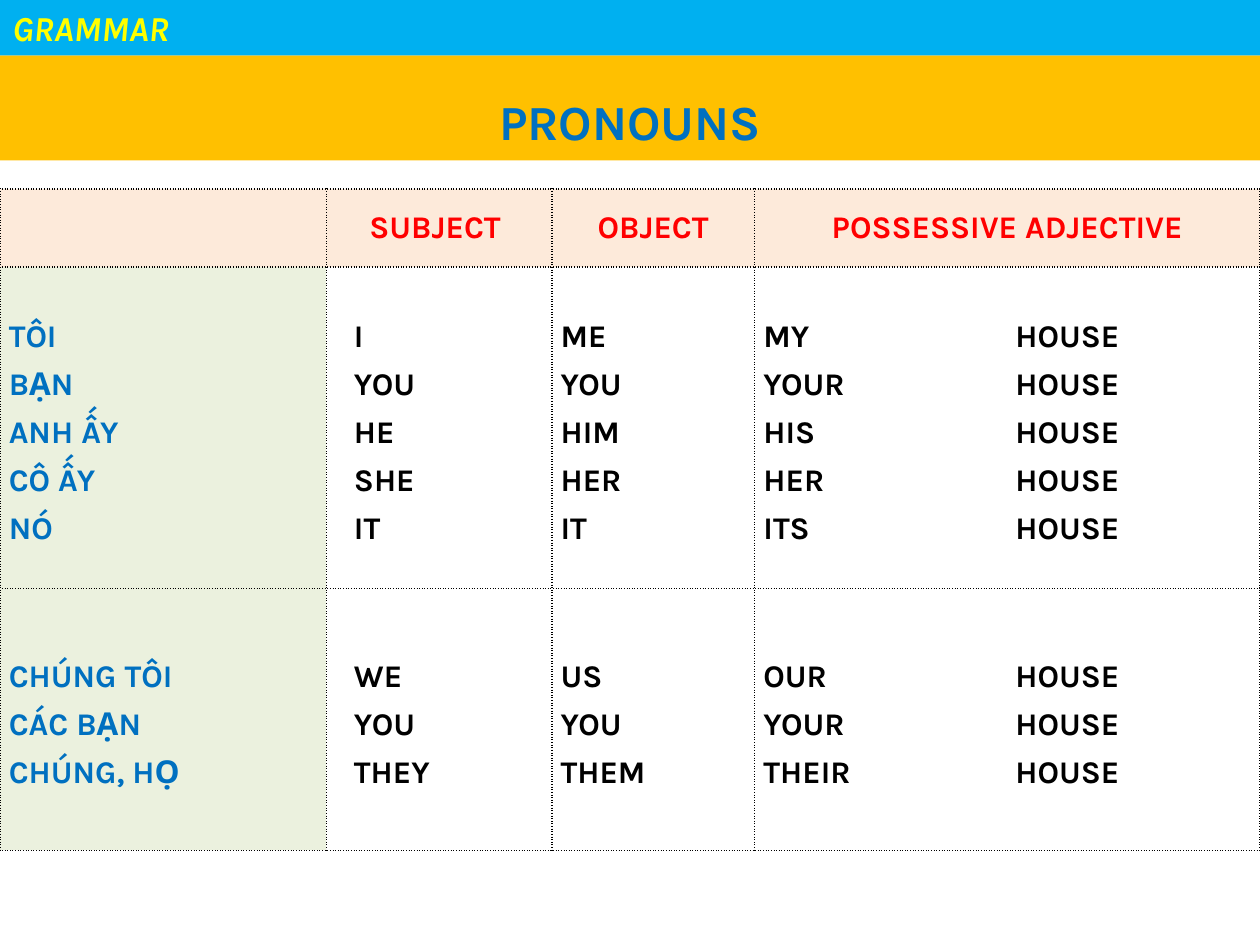
from lxml import etree
from pptx import Presentation
from pptx.dml.color import RGBColor
from pptx.enum.shapes import MSO_SHAPE
from pptx.enum.text import MSO_ANCHOR, MSO_AUTO_SIZE, PP_ALIGN
from pptx.oxml.ns import qn
from pptx.util import Inches, Pt

RECT = MSO_SHAPE.RECTANGLE
TOP, MIDDLE = MSO_ANCHOR.TOP, MSO_ANCHOR.MIDDLE
LEFT, CENTER = PP_ALIGN.LEFT, PP_ALIGN.CENTER

FONT = "Karla"
SKY = RGBColor(0x00, 0xB0, 0xF0)
AMBER = RGBColor(0xFF, 0xC0, 0x00)
YELLOW = RGBColor(0xFF, 0xFF, 0x00)
BLUE = RGBColor(0x00, 0x70, 0xC0)
RED = RGBColor(0xFF, 0x00, 0x00)
BLACK = RGBColor(0x00, 0x00, 0x00)
PEACH = RGBColor(0xFD, 0xEA, 0xDA)
SAGE = RGBColor(0xEB, 0xF1, 0xDE)

HEADERS = ["", "SUBJECT ", "OBJECT", "POSSESSIVE ADJECTIVE"]
SINGULAR = [
    ("TÔI", "I", "ME", "MY"),
    ("BẠN", "YOU", "YOU", "YOUR"),
    ("ANH ẤY", "HE", "HIM", "HIS"),
    ("CÔ ẤY", "SHE", "HER", "HER"),
    ("NÓ", "IT", "IT", "ITS"),
]
PLURAL = [
    ("CHÚNG TÔI", "WE", "US", "OUR"),
    ("CÁC BẠN", "YOU", "YOU", "YOUR"),
    ("CHÚNG, HỌ", "THEY", "THEM", "THEIR"),
]
NOUN = "HOUSE"
COL_WIDTHS = [2.59, 1.79, 1.61, 4.01]
ROW_HEIGHTS = [0.62, 2.55, 2.08]
TAB_STOPS = [1, 2]
SUBJECT_COL, POSSESSIVE_COL = 1, 3
SLIDE_W, SLIDE_H = 10, 7.5
STRIP_H, BANNER_H, TABLE_TOP = 0.44, 0.83, 1.5


def style_run(r, size, color, italic=None):
    r.font.name, r.font.size, r.font.bold = FONT, Pt(size), True
    r.font.italic = italic
    r.font.color.rgb = color


def fill_band(s, top, height, fill, text, size, color, align, italic=None):
    """Make a shape a full-width coloured band with one line of text."""
    s.left, s.top = 0, Inches(top)
    s.width, s.height = Inches(SLIDE_W), Inches(height)
    s.fill.solid()
    s.fill.fore_color.rgb = fill
    s.line.fill.background()
    tf = s.text_frame
    tf.text = text
    tf.word_wrap, tf.vertical_anchor = True, TOP
    tf.auto_size = MSO_AUTO_SIZE.SHAPE_TO_FIT_TEXT
    p = tf.paragraphs[0]
    p.alignment = align
    style_run(p.runs[0], size, color, italic)
    return p


def add_dotted_borders(cell):
    tc_pr = cell._tc.get_or_add_tcPr()
    for side in ("lnL", "lnR", "lnT", "lnB"):
        ln = etree.SubElement(tc_pr, qn(f"a:{side}"), w=str(Pt(1)))
        solid = etree.SubElement(ln, qn("a:solidFill"))
        etree.SubElement(solid, qn("a:srgbClr"), val=str(BLACK))
        etree.SubElement(ln, qn("a:prstDash"), val="sysDot")


def add_tab_stops(p):
    tabs = etree.SubElement(p._p.get_or_add_pPr(), qn("a:tabLst"))
    for stop in TAB_STOPS:
        etree.SubElement(tabs, qn("a:tab"), pos=str(Inches(stop)), algn="l")


def fill_cell(cell, lines, row, col):
    add_dotted_borders(cell)
    if row == 0 or col == 0:
        cell.fill.solid()
        cell.fill.fore_color.rgb = PEACH if row == 0 else SAGE
    else:
        cell.fill.background()
    cell.vertical_anchor = MIDDLE
    cell.margin_left = cell.margin_right = Inches(0.07)
    cell.margin_top = cell.margin_bottom = 0
    color = RED if row == 0 else BLUE if col == 0 else BLACK
    cell.text_frame.text = "\n".join(lines)
    for p in cell.text_frame.paragraphs:
        p.alignment = CENTER if row == 0 else LEFT
        if row:
            p.line_spacing = 1.3
            if col == SUBJECT_COL:
                p._p.get_or_add_pPr().set("marL", str(Inches(0.15)))
            if col == POSSESSIVE_COL:
                add_tab_stops(p)
        for r in p.runs:
            style_run(r, 18, color)


def add_pronoun_table(slide):
    table = slide.shapes.add_table(
        len(ROW_HEIGHTS), len(COL_WIDTHS), 0, Inches(TABLE_TOP),
        Inches(SLIDE_W), Inches(sum(ROW_HEIGHTS))).table
    table.first_row = table.horz_banding = False
    for column, width in zip(table.columns, COL_WIDTHS):
        column.width = Inches(width)
    for table_row, height in zip(table.rows, ROW_HEIGHTS):
        table_row.height = Inches(height)
    for row, group in enumerate([[HEADERS], SINGULAR, PLURAL]):
        for col, lines in enumerate(zip(*group)):
            if row and col == POSSESSIVE_COL:
                lines = [f"{word}\t\t{NOUN}" for word in lines]
            fill_cell(table.cell(row, col), lines, row, col)


def main():
    prs = Presentation()
    prs.slide_width, prs.slide_height = Inches(SLIDE_W), Inches(SLIDE_H)
    slide = prs.slides.add_slide(prs.slide_layouts[5])
    strip = slide.shapes.add_shape(RECT, 0, 0, Inches(SLIDE_W), Inches(STRIP_H))
    strip.shadow.inherit = False
    fill_band(strip, 0, STRIP_H, SKY, "GRAMMAR", 20, YELLOW, LEFT, italic=True)
    add_pronoun_table(slide)
    p = fill_band(slide.shapes.title, STRIP_H, BANNER_H, AMBER,
                  "PRONOUNS", 28, BLUE, CENTER)
    p.line_spacing = 1.5
    prs.save("out.pptx")


if __name__ == "__main__":
    main()
